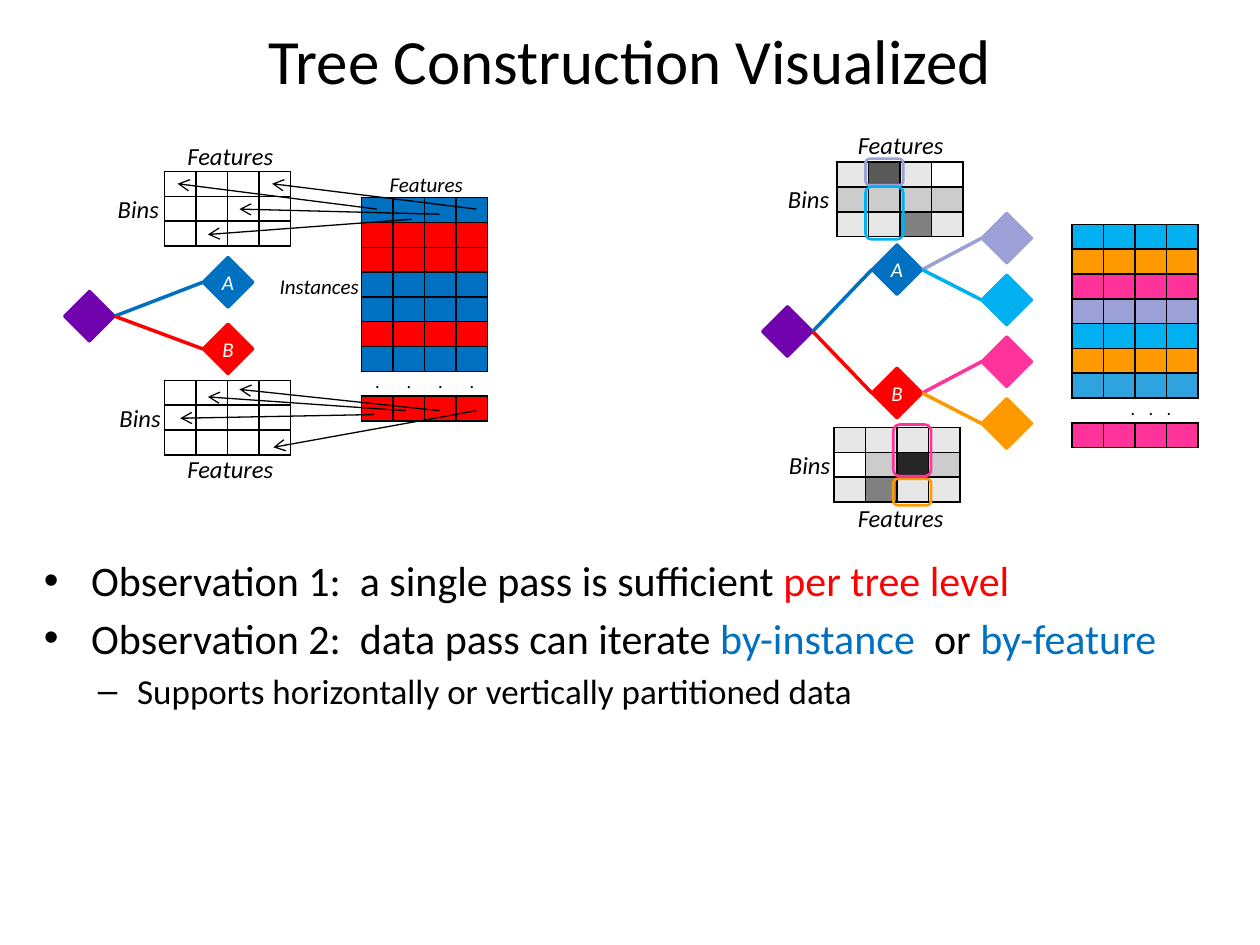
"""Build a slide that shows how one data pass grows a decision tree level."""
import lxml.etree
import pptx
import pptx.dml.color
import pptx.enum.shapes
import pptx.enum.text
import pptx.oxml.ns
import pptx.util

Pt = pptx.util.Pt
RGB = pptx.dml.color.RGBColor
SHAPE = pptx.enum.shapes.MSO_SHAPE
ALIGN = pptx.enum.text.PP_ALIGN
ANCHOR = pptx.enum.text.MSO_ANCHOR
qn = pptx.oxml.ns.qn

BLACK = RGB(0x00, 0x00, 0x00)
WHITE = RGB(0xFF, 0xFF, 0xFF)
PURPLE = RGB(0x70, 0x03, 0xAD)
BLUE = RGB(0x00, 0x70, 0xC0)
RED = RGB(0xFF, 0x00, 0x00)
LILAC = RGB(0x9B, 0xA1, 0xD7)
SKY = RGB(0x00, 0xB0, 0xF0)
STEEL = RGB(0x2E, 0xA3, 0xDE)
PINK = RGB(0xFF, 0x33, 0x99)
ORANGE = RGB(0xFF, 0x99, 0x00)
PALE = RGB(0xE7, 0xE7, 0xE7)
LIGHT = RGB(0xCC, 0xCC, 0xCC)
MID = RGB(0x80, 0x80, 0x80)
DARK = RGB(0x59, 0x59, 0x59)
DARKEST = RGB(0x26, 0x26, 0x26)


def add_xml(parent, tag, **attrs):
    return lxml.etree.SubElement(parent, qn(tag), **attrs)


class TreeSlide:
    font = "Calibri"
    col, row = 18, 14.2
    node_size = 28.8

    def __init__(self, prs):
        self.slide = prs.slides.add_slide(prs.slide_layouts[6])
        self.shapes = self.slide.shapes

    def style(self, r, size, color=BLACK, italic=False):
        r.font.name, r.font.size, r.font.italic = self.font, Pt(size), italic
        r.font.color.rgb = color

    def text(self, x, y, w, h, text, size, color=BLACK, italic=False, wrap=False):
        tf = self.shapes.add_textbox(Pt(x), Pt(y), Pt(w), Pt(h)).text_frame
        tf.text = text
        tf.word_wrap = wrap
        tf.vertical_anchor = ANCHOR.MIDDLE
        p = tf.paragraphs[0]
        p.alignment = ALIGN.CENTER
        self.style(p.runs[0], size, color, italic)
        return tf

    def label(self, center, top, w, text, size=14):
        tf = self.text(center - w / 2, top, w, 1.74 * size, text, size, italic=True)
        tf.margin_left = tf.margin_right = 0

    def bullets(self, x, y, w, h, items):
        tf = self.shapes.add_textbox(Pt(x), Pt(y), Pt(w), Pt(h)).text_frame
        tf.word_wrap = True
        for i, (level, parts) in enumerate(items):
            p = tf.paragraphs[0] if i == 0 else tf.add_paragraph()
            char, margin, indent, size = (("•", 27, -27, 24), ("–", 53.3, -22.5, 20))[level]
            p.level = level
            pPr = p._p.get_or_add_pPr()
            pPr.set("marL", str(Pt(margin)))
            pPr.set("indent", str(Pt(indent)))
            add_xml(pPr, "a:buFont", typeface="Arial")
            add_xml(pPr, "a:buChar", char=char)
            if i:
                p.space_before = Pt(4)
            for text, color in parts:
                r = p.add_run()
                r.text = text
                self.style(r, size, color)

    def node(self, x, y, color, letter=None):
        size = self.node_size
        sp = self.shapes.add_shape(SHAPE.FLOWCHART_DECISION, Pt(x), Pt(y), Pt(size), Pt(size))
        sp.shadow.inherit = False
        sp.fill.solid()
        sp.fill.fore_color.rgb = color
        sp.line.color.rgb = color
        sp.line.width = Pt(1.5)
        if letter:
            tf = self.text(x + size / 4, y + size / 4, size / 2, size / 2, letter, 12, WHITE, True)
            tf.margin_left = tf.margin_right = tf.margin_top = tf.margin_bottom = Pt(0.7)
        return sp

    def line(self, x1, y1, x2, y2, color, width):
        cx = self.shapes.add_connector(
            pptx.enum.shapes.MSO_CONNECTOR.STRAIGHT, Pt(x1), Pt(y1), Pt(x2), Pt(y2))
        cx.line.color.rgb = color
        cx.line.width = Pt(width)
        add_xml(cx._element.spPr, "a:effectLst")
        return cx

    def branch(self, parent, child, color):
        cx = self.line(0, 0, 0, 0, color, 2)
        cx.begin_connect(parent, 3)
        cx.end_connect(child, 1)

    def arrow(self, x1, y1, x2, y2):
        cx = self.line(x1, y1, x2, y2, BLACK, 0.75)
        add_xml(cx.line._get_or_add_ln(), "a:tailEnd", type="arrow")

    def frame(self, x, y, h, color):
        sp = self.shapes.add_shape(SHAPE.ROUNDED_RECTANGLE, Pt(x), Pt(y), Pt(21.6), Pt(h))
        sp.shadow.inherit = False
        sp.fill.background()
        sp.line.color.rgb = color
        sp.line.width = Pt(1.5)

    def cell(self, cell, color, sides="LRTB"):
        cell.margin_left = cell.margin_right = cell.margin_top = cell.margin_bottom = 0
        tcPr = cell._tc.get_or_add_tcPr()
        for side in "LRTB":
            ln = add_xml(tcPr, "a:ln" + side, w=str(Pt(1)))
            if side in sides:
                add_xml(add_xml(ln, "a:solidFill"), "a:srgbClr", val=str(BLACK))
            else:
                add_xml(ln, "a:noFill")
        if color is None:
            cell.fill.background()
        else:
            cell.fill.solid()
            cell.fill.fore_color.rgb = color

    def grid(self, x, y, colors, dots_row=None, dots=()):
        n = len(colors)
        table = self.shapes.add_table(
            n, 4, Pt(x), Pt(y), Pt(4 * self.col), Pt(n * self.row)).table
        table.first_row = table.horz_banding = False
        for column in table.columns:
            column.width = Pt(self.col)
        for i, row_colors in enumerate(colors):
            table.rows[i].height = Pt(self.row)
            for j, color in enumerate(row_colors):
                cell = table.cell(i, j)
                self.cell(cell, color, "TB" if i == dots_row else "LRTB")
                p = cell.text_frame.paragraphs[0]
                if i == dots_row and dots[j] is not None:
                    p.text = "."
                    p.alignment = dots[j]
                    self.style(p.runs[0], 10.5)
                else:
                    add_xml(p._p, "a:endParaRPr", sz="800")


def main():
    prs = pptx.Presentation()
    prs.slide_width, prs.slide_height = Pt(720), Pt(540)
    s = TreeSlide(prs)
    s.text(36, 0, 648, 68, "Tree Construction Visualized", 36, wrap=True)
    s.bullets(18, 313.5, 702, 203, [
        (0, [("Observation 1:  a single pass is sufficient ", BLACK), ("per tree level", RED)]),
        (0, [("Observation 2:  data pass can iterate ", BLACK), ("by-instance", BLUE),
             ("  or ", BLACK), ("by-feature", BLUE)]),
        (1, [("Supports horizontally or vertically partitioned data", BLACK)])])

    left = [BLUE, RED, RED, BLUE, BLUE, RED, BLUE, None, RED]
    right = [SKY, ORANGE, PINK, LILAC, SKY, ORANGE, STEEL, None, PINK]
    s.grid(206.7, 113, [[c] * 4 for c in left], 7, [ALIGN.CENTER] * 4)
    s.grid(612.7, 128.2, [[c] * 4 for c in right], 7,
           [None, ALIGN.RIGHT, ALIGN.CENTER, ALIGN.LEFT])
    for y in (98, 217.4):
        s.grid(94, y, [[None] * 4] * 3)
    s.grid(478.2, 92.7, [[PALE, DARK, PALE, None], [LIGHT] * 4, [PALE, PALE, MID, PALE]])
    s.grid(476.6, 244.3, [[PALE] * 4, [None, LIGHT, DARKEST, LIGHT], [PALE, MID, PALE, PALE]])

    for x, y in ((131.6, 77), (131.6, 255.6), (514.7, 70.6), (514.7, 283.4)):
        s.label(x, y, 64, "Features")
    for x, y in ((79, 107.2), (80, 226.7), (462, 101.2), (462.6, 253.4)):
        s.label(x, y, 38, "Bins")
    s.label(243.6, 94.6, 57, "Features", 12)
    s.label(182.4, 152.8, 60, "Instances", 12)

    for ends in ((215.3, 119.5, 101.5, 105), (235.4, 125.3, 118.8, 134),
                 (251.3, 122.4, 136.8, 119.5), (272.2, 119.5, 155.5, 105),
                 (213.8, 236.9, 103, 239), (231.8, 234.7, 118.8, 226.8),
                 (251.3, 234.7, 136.8, 222.5), (272.2, 234.7, 156.2, 255.6)):
        s.arrow(*ends)

    for (root_x, root_y), child_x, child_ys in (
            ((36.7, 166.3), 115.9, (146.9, 185)), ((435.6, 175), 498.2, (139.7, 210.2))):
        root = s.node(root_x, root_y, PURPLE)
        children = []
        for y, color, letter in zip(child_ys, (BLUE, RED), "AB"):
            child = s.node(child_x, y, color, letter)
            s.branch(root, child, color)
            children.append(child)

    for i, color in enumerate((LILAC, SKY, PINK, ORANGE)):
        leaf = s.node(560.9, 121.7 + 35.3 * i, color)
        s.branch(children[i // 2], leaf, color)

    for x, y, h, color in ((510.5, 273.6, 15.1, ORANGE), (510.5, 242.6, 29.5, PINK),
                           (494.6, 90.7, 15.1, LILAC), (494.6, 106.6, 30.2, SKY)):
        s.frame(x, y, h, color)
    prs.save("out.pptx")


if __name__ == "__main__":
    main()
